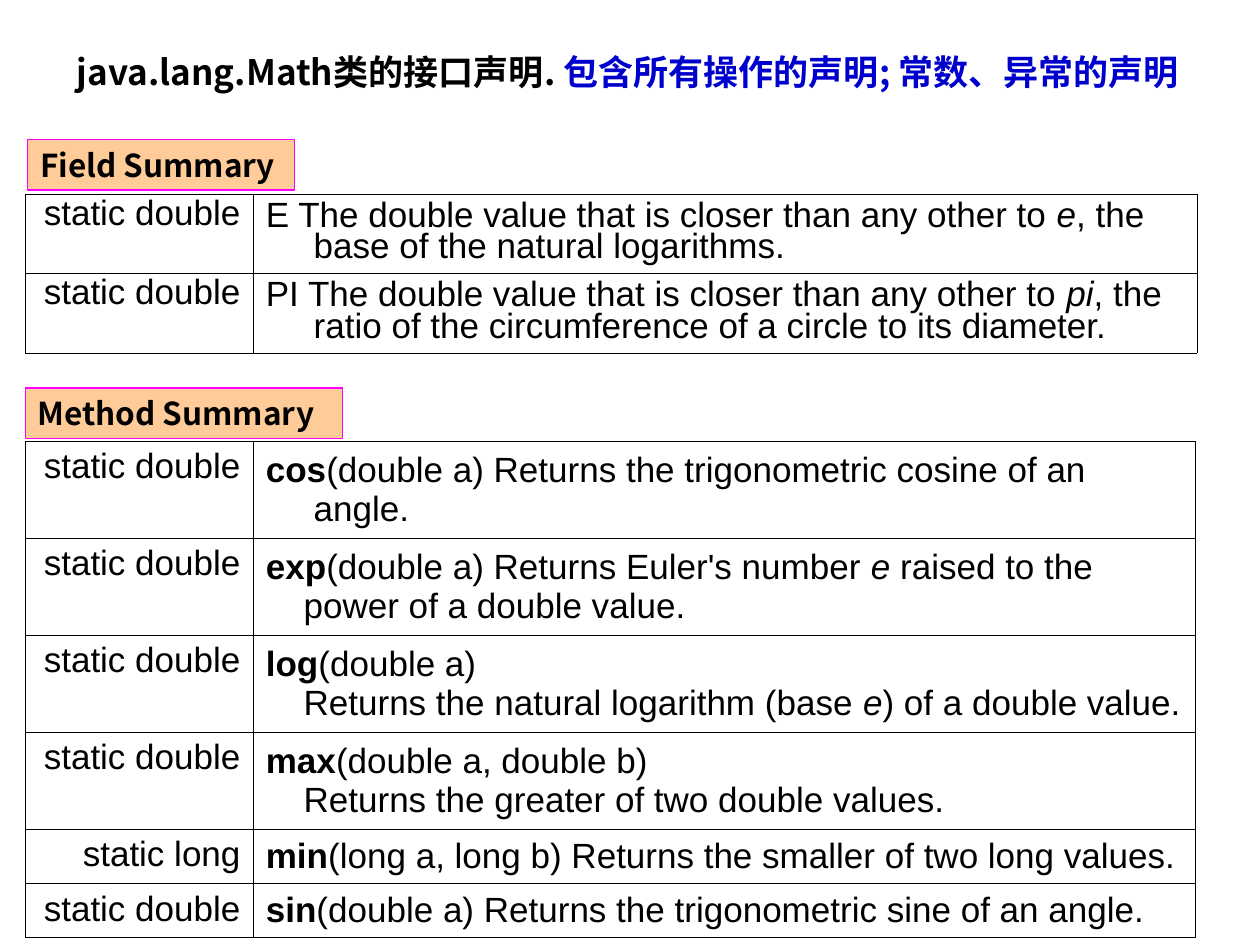
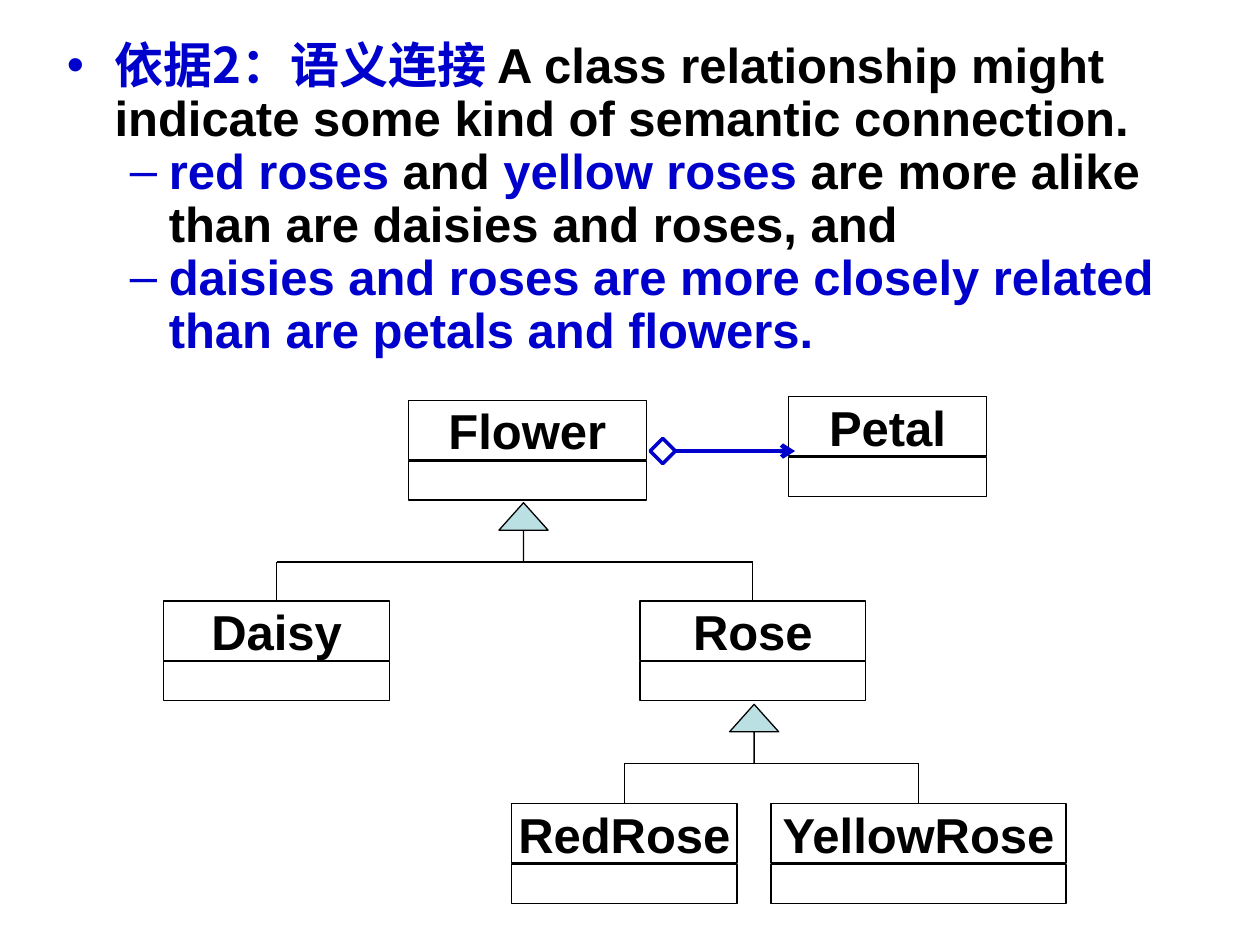
from lxml.etree import SubElement
from pptx import Presentation
from pptx.dml.color import RGBColor
from pptx.enum.shapes import MSO_CONNECTOR, MSO_SHAPE
from pptx.enum.text import MSO_ANCHOR, MSO_AUTO_SIZE, PP_ALIGN
from pptx.oxml.ns import qn
from pptx.util import Inches, Pt

BLACK = RGBColor(0x00, 0x00, 0x00)
WHITE = RGBColor(0xFF, 0xFF, 0xFF)
BLUE = RGBColor(0x00, 0x00, 0xCC)
MAGENTA = RGBColor(0xFF, 0x00, 0xFF)
PEACH = RGBColor(0xFF, 0xCC, 0x99)
PALE_TEAL = RGBColor(0xBB, 0xE0, 0xE3)
LATIN, CJK = "Arial", "Noto Sans CJK SC"


def add_run(p, text, size, font=LATIN, color=BLACK, bold=False, italic=False):
    r = p.add_run()
    r.text = text
    r.font.size = Pt(size)
    r.font.name = font
    r.font.color.rgb = color
    r.font.bold = bold
    r.font.italic = italic
    SubElement(r.font._element, qn("a:ea")).set("typeface", font)


def add_box(s, kind, left, top, width, height, fill=WHITE, line=BLACK, weight=0.75):
    sp = s.shapes.add_shape(kind, Inches(left), Inches(top), Inches(width), Inches(height))
    sp.shadow.inherit = False
    if fill is None:
        sp.fill.background()
    else:
        sp.fill.solid()
        sp.fill.fore_color.rgb = fill
    sp.line.color.rgb = line
    sp.line.width = Pt(weight)
    sp.text_frame.vertical_anchor = MSO_ANCHOR.MIDDLE
    return sp


prs = Presentation()
prs.slide_width, prs.slide_height = Inches(10), Inches(7.5)

# Slide 1: interface of the Math class
s = prs.slides.add_slide(prs.slide_layouts[5])
title = s.shapes.title
title.left, title.top, title.width, title.height = map(Inches, (0.51, 0.18, 9.06, 0.77))
tf = title.text_frame
tf.auto_size = MSO_AUTO_SIZE.NONE
tf.vertical_anchor = MSO_ANCHOR.MIDDLE
p = tf.paragraphs[0]
p.alignment = PP_ALIGN.LEFT
add_run(p, "java.lang.Math类的接口声明. ", 20, CJK, bold=True)
add_run(p, "包含所有操作的声明; 常数、异常的声明", 20, CJK, BLUE, bold=True)

for text, left, top, width in [("Field Summary", 0.22, 1.11, 2.12),
                               ("Method Summary", 0.2, 3.08, 2.52)]:
    sp = add_box(s, MSO_SHAPE.RECTANGLE, left, top, width, 0.4, PEACH, MAGENTA)
    p = sp.text_frame.paragraphs[0]
    p.alignment = PP_ALIGN.LEFT
    add_run(p, text, 18, CJK, bold=True)

# Each row: type, then paragraphs made of (text, style) runs
fields = [
    ("static double", [[("E The double value that is closer than any other to ", ""), ("e", "i"),
                        (", the base of the natural logarithms.", "")]]),
    ("static double", [[("PI The double value that is closer than any other to ", ""), ("pi", "i"),
                        (", the ratio of the circumference of a circle to its diameter.", "")]]),
]
methods = [
    ("static double", [[("cos", "b"),
                        ("(double a) Returns the trigonometric cosine of an angle.", "")]]),
    ("static double", [[("exp", "b"), ("(double a) Returns Euler's number ", ""), ("e", "i"),
                        (" raised to the", "")],
                       [("power of a double value.", "")]]),
    ("static double", [[("log", "b"), ("(double a)", "")],
                       [("Returns the natural logarithm (base ", ""), ("e", "i"),
                        (") of a double value.", "")]]),
    ("static double", [[("max", "b"), ("(double a, double b)", "")],
                       [("Returns the greater of two double values.", "")]]),
    ("static long", [[("min", "b"),
                      ("(long a, long b) Returns the smaller of two long values.", "")]]),
    ("static double", [[("sin", "b"),
                        ("(double a) Returns the trigonometric sine of an angle.", "")]]),
]
tables = [
    (fields, 1.54, 7.49, [0.63] * 2, 0.8),
    (methods, 3.5, 7.48, [0.77] * 4 + [0.43] * 2, 1.0),
]
for rows, top, text_width, heights, spacing in tables:
    table = s.shapes.add_table(len(rows), 2, Inches(0.2), Inches(top),
                               Inches(1.81 + text_width), Inches(sum(heights))).table
    table.first_row = table.horz_banding = False
    table.columns[0].width, table.columns[1].width = Inches(1.81), Inches(text_width)
    for i, (kind, paragraphs) in enumerate(rows):
        table.rows[i].height = Inches(heights[i])
        for j, content in enumerate([[[(kind, "")]], paragraphs]):
            cell = table.cell(i, j)
            cell.vertical_anchor = MSO_ANCHOR.MIDDLE if j else MSO_ANCHOR.TOP
            tcPr = cell._tc.get_or_add_tcPr()
            for side in ("a:lnL", "a:lnR", "a:lnT", "a:lnB"):
                ln = SubElement(tcPr, qn(side), w=str(Pt(0.34)))
                SubElement(SubElement(ln, qn("a:solidFill")), qn("a:srgbClr"), val=str(BLACK))
            cell.fill.solid()
            cell.fill.fore_color.rgb = WHITE
            for k, runs in enumerate(content):
                tf = cell.text_frame
                p = tf.add_paragraph() if k else tf.paragraphs[0]
                p.alignment = PP_ALIGN.LEFT if j else PP_ALIGN.RIGHT
                p.line_spacing = spacing
                pPr = p._p.get_or_add_pPr()
                pPr.set("marL", str(Inches(0.3 if k else 0.38)))
                pPr.set("indent", str(Inches(0 if k else -0.38)))
                for text, style in runs:
                    add_run(p, text, 20, bold=style == "b", italic=style == "i")

# Slide 2: semantic connection between classes
s = prs.slides.add_slide(prs.slide_layouts[1])
s.shapes.title._element.getparent().remove(s.shapes.title._element)
body = s.placeholders[1]
body.left, body.top, body.width, body.height = map(Inches, (0.43, 0.28, 9, 2.68))
tf = body.text_frame
tf.auto_size = MSO_AUTO_SIZE.NONE
points = [
    (0, [("依据2：语义连接 ", CJK, BLUE),
         ("A class relationship might indicate some kind of semantic connection.", LATIN, BLACK)]),
    (1, [("red roses", LATIN, BLUE), (" and ", LATIN, BLACK), ("yellow roses", LATIN, BLUE),
         (" are more alike than are daisies and roses, and", LATIN, BLACK)]),
    (1, [("daisies and roses are more closely related than are petals and flowers.", LATIN, BLUE)]),
]
for i, (level, runs) in enumerate(points):
    p = tf.add_paragraph() if i else tf.paragraphs[0]
    p.level = level
    p.line_spacing = 0.9
    p.space_before = Pt(0)
    pPr = p._p.get_or_add_pPr()
    pPr.set("marL", str(Inches((0.38, 0.81)[level])))
    pPr.set("indent", str(Inches((-0.38, -0.31)[level])))
    SubElement(SubElement(pPr, qn("a:buClr")), qn("a:srgbClr"), val=str(BLUE))
    SubElement(pPr, qn("a:buFont"), typeface=LATIN)
    SubElement(pPr, qn("a:buChar"), char="•–"[level])
    for text, font, color in runs:
        add_run(p, text, 28, font, color, bold=True)

classes = [
    ("Daisy", 1.3, 4.77, 1.79),
    ("Flower", 3.24, 3.18, 1.89),
    ("Rose", 5.08, 4.77, 1.79),
    ("RedRose", 4.06, 6.38, 1.79),
    ("YellowRose", 6.12, 6.38, 2.34),
    ("Petal", 6.26, 3.15, 1.57),
]
boxes = {}
for name, left, top, width in classes:
    boxes[name] = sp = add_box(s, MSO_SHAPE.RECTANGLE, left, top, width, 0.47)
    sp.text_frame.word_wrap = False
    p = sp.text_frame.paragraphs[0]
    p.alignment = PP_ALIGN.CENTER
    add_run(p, name, 28, bold=True)
    add_box(s, MSO_SHAPE.RECTANGLE, left, top + 0.48, width, 0.31)

# Inheritance: a branch line, a drop to each subclass, an arrow to the parent
lines = []
for children, branch_y, arrow_x in [(("Daisy", "Rose"), 4.46, 3.96),
                                    (("RedRose", "YellowRose"), 6.06, 5.79)]:
    y = Inches(branch_y)
    centers = [boxes[c].left + boxes[c].width // 2 for c in children]
    lines.append(s.shapes.add_connector(MSO_CONNECTOR.STRAIGHT, centers[0], y, centers[1], y))
    for child, x in zip(children, centers):
        drop = s.shapes.add_connector(MSO_CONNECTOR.STRAIGHT, x, y, x, boxes[child].top)
        drop.end_connect(boxes[child], 0)
        lines.append(drop)
    arrow = add_box(s, MSO_SHAPE.UP_ARROW, arrow_x, branch_y - 0.47, 0.39, 0.47, PALE_TEAL)
    arrow.adjustments[0], arrow.adjustments[1] = 0, 0.56

# Aggregation: Flower has Petals
diamond = add_box(s, MSO_SHAPE.DIAMOND, 5.16, 3.48, 0.2, 0.2, None, BLUE, 2)
link = s.shapes.add_connector(MSO_CONNECTOR.STRAIGHT, Inches(5.36), Inches(3.58),
                              Inches(6.31), Inches(3.58))
link.begin_connect(diamond, 3)

for c in lines + [link]:
    c.line.color.rgb = BLUE if c is link else BLACK
    c.line.width = Pt(2.5 if c is link else 0.75)
    SubElement(c._element.spPr, qn("a:effectLst"))
SubElement(link.line._get_or_add_ln(), qn("a:tailEnd"), type="arrow")

prs.save("out.pptx")
